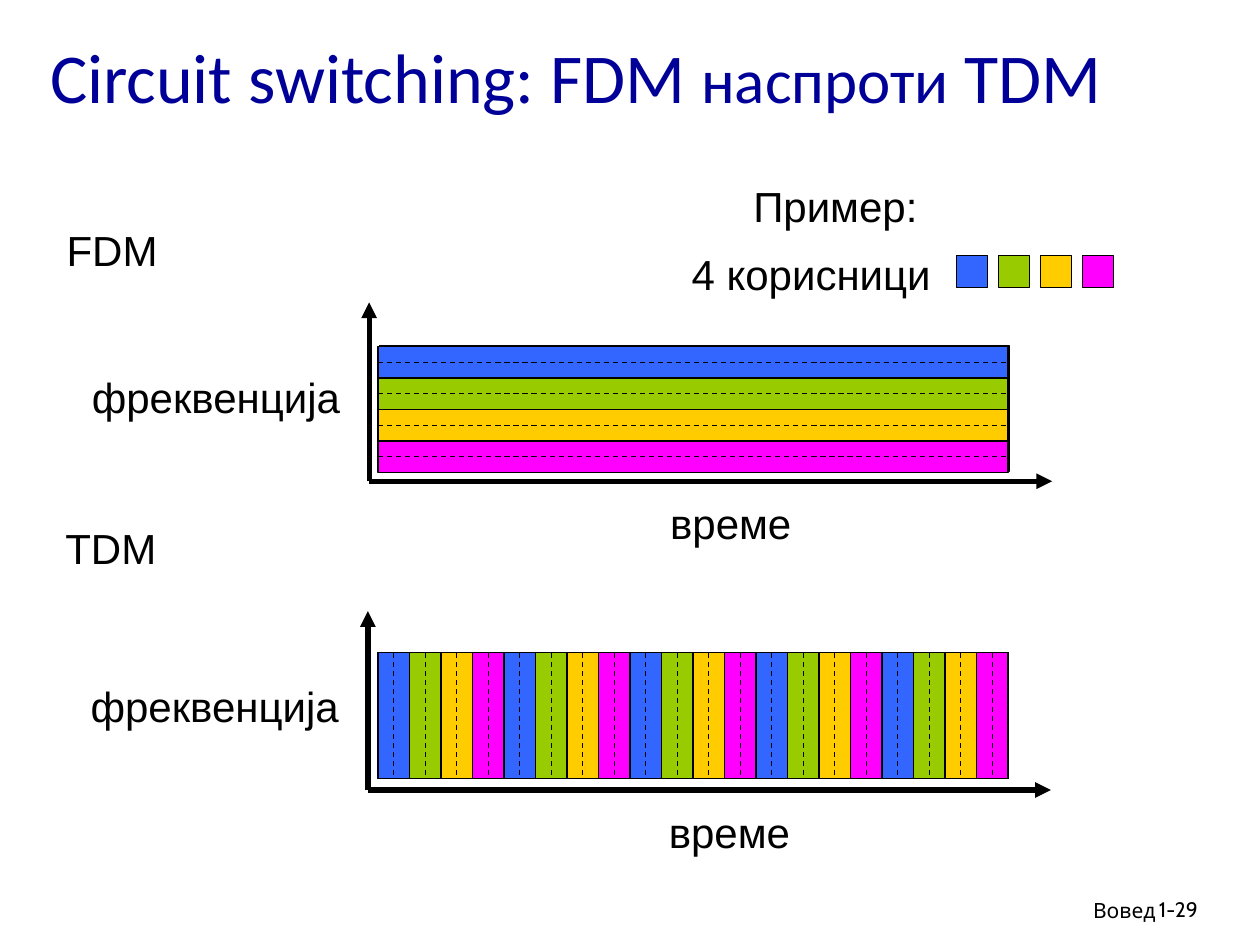
from lxml.etree import SubElement
from pptx import Presentation
from pptx.dml.color import RGBColor
from pptx.enum.dml import MSO_LINE
from pptx.enum.shapes import MSO_CONNECTOR, MSO_SHAPE
from pptx.enum.text import MSO_ANCHOR, PP_ALIGN
from pptx.oxml.ns import qn
from pptx.util import Inches, Pt

BLACK, NAVY, TEAL = "000000", "000099", "00CC99"
USERS = ["3366FF", "99CC00", "FFCC00", "FF00FF"]
LABEL = {"size": Pt(24), "name": "Arial"}
FOOTER = {"size": Pt(12), "name": "Cabin"}
TITLE = [("Circuit switching: FDM ", 40), ("наспроти", 36), (" TDM", 40)]

# text, (left, top, width, height)
EXAMPLE_LABELS = [
    ("Пример:", (5.88, 1.38, 1.52, 0.51)),
    ("4 корисници", (5.39, 1.92, 2.12, 0.51)),
]
# name, its left and top, origin of the axes, left and top of the backing frame
CHARTS = [
    ("FDM", (0.43, 1.73), (2.93, 3.82), (3.01, 2.74)),
    ("TDM", (0.42, 4.1), (2.92, 6.27), (3, 5.18)),
]
PLOT_LEFT, PLOT_WIDTH, PLOT_HEIGHT = 3, 5, 1
FDM_TOP, TDM_TOP = 2.75, 5.18
BAND = 0.25
SLOTS = int(PLOT_WIDTH / BAND)


def color(value):
    return RGBColor.from_string(value)


def add_text(page, area, spans, align=PP_ALIGN.LEFT, wrap=False, anchor=MSO_ANCHOR.TOP):
    """Add one paragraph; spans are (text, font format values, colour)."""
    box = page.shapes.add_textbox(*map(Inches, area))
    frame = box.text_frame
    frame.word_wrap = wrap
    frame.vertical_anchor = anchor
    para = frame.paragraphs[0]
    para.alignment = align
    for text, font, tint in spans:
        span = para.add_run()
        span.text = text
        for key, value in font.items():
            setattr(span.font, key, value)
        span.font.color.rgb = color(tint)


def add_label(page, text, area):
    add_text(page, area, [(text, LABEL, BLACK)])


def add_box(page, area, fill):
    box = page.shapes.add_shape(MSO_SHAPE.RECTANGLE, *map(Inches, area))
    box.shadow.inherit = False
    box.fill.solid()
    box.fill.fore_color.rgb = color(fill)
    box.line.color.rgb = color(BLACK)
    box.line.width = Pt(0.75)


def add_line(page, start, end, width=0.75, dashed=False, arrow=False):
    line = page.shapes.add_connector(
        MSO_CONNECTOR.STRAIGHT, *map(Inches, (*start, *end)))
    line.line.color.rgb = color(BLACK)
    line.line.width = Pt(width)
    if dashed:
        line.line.dash_style = MSO_LINE.DASH
    if arrow:
        SubElement(line.line._get_or_add_ln(), qn("a:tailEnd"), type="triangle")
    SubElement(line._element.spPr, qn("a:effectLst"))


def add_axes(page, name, name_at, origin, frame_at):
    x, y = origin
    add_label(page, name, (*name_at, 0.92, 0.5))
    add_label(page, "фреквенција", (x - 2.3, y - 0.92, 2.19, 0.51))
    add_label(page, "време", (x + 2.29, y + 0.08, 1.18, 0.51))
    add_box(page, (*frame_at, PLOT_WIDTH, PLOT_HEIGHT), TEAL)
    for end in ((x, y - 1.42), (x + 5.42, y)):
        add_line(page, origin, end, width=3, arrow=True)


def add_row_line(page, offset, dashed):
    y = FDM_TOP + offset
    add_line(page, (PLOT_LEFT, y), (PLOT_LEFT + PLOT_WIDTH, y), dashed=dashed)


def add_slot_line(page, offset, dashed):
    x = PLOT_LEFT + offset
    add_line(page, (x, TDM_TOP), (x, TDM_TOP + PLOT_HEIGHT), dashed=dashed)


def add_dividers(page, count, draw):
    """Solid lines between the bands, dashed lines through their middles."""
    for index in range(1, count):
        draw(page, index * BAND, False)
    for index in range(count):
        draw(page, (index + 0.5) * BAND, True)


def main():
    deck = Presentation()
    deck.slide_width, deck.slide_height = Inches(10), Inches(7.5)
    page = deck.slides.add_slide(deck.slide_layouts[6])

    title = [(text, {"size": Pt(size), "name": "Calibri"}, NAVY) for text, size in TITLE]
    add_text(page, (0.3, 0.08, 9.26, 1.04), title, wrap=True, anchor=MSO_ANCHOR.MIDDLE)

    for chart in CHARTS:
        add_axes(page, *chart)
    for row, fill in enumerate(USERS):
        add_box(page, (PLOT_LEFT, FDM_TOP + row * BAND, PLOT_WIDTH, BAND), fill)
    for slot in range(SLOTS):
        add_box(page, (PLOT_LEFT + slot * BAND, TDM_TOP, BAND, PLOT_HEIGHT),
                USERS[slot % len(USERS)])
    add_dividers(page, len(USERS), add_row_line)
    add_dividers(page, SLOTS, add_slot_line)

    for text, area in EXAMPLE_LABELS:
        add_label(page, text, area)
    for user, fill in enumerate(USERS):
        add_box(page, (7.59 + user / 3, 2.03, BAND, BAND), fill)

    add_text(page, (6.1, 7.07, 3.17, 0.31), [("Вовед", FOOTER, BLACK)],
             align=PP_ALIGN.RIGHT, wrap=True)
    add_text(page, (9.1, 7.07, 0.74, 0.3), [("1-29", FOOTER, BLACK)], wrap=True)
    deck.save("out.pptx")


if __name__ == "__main__":
    main()
